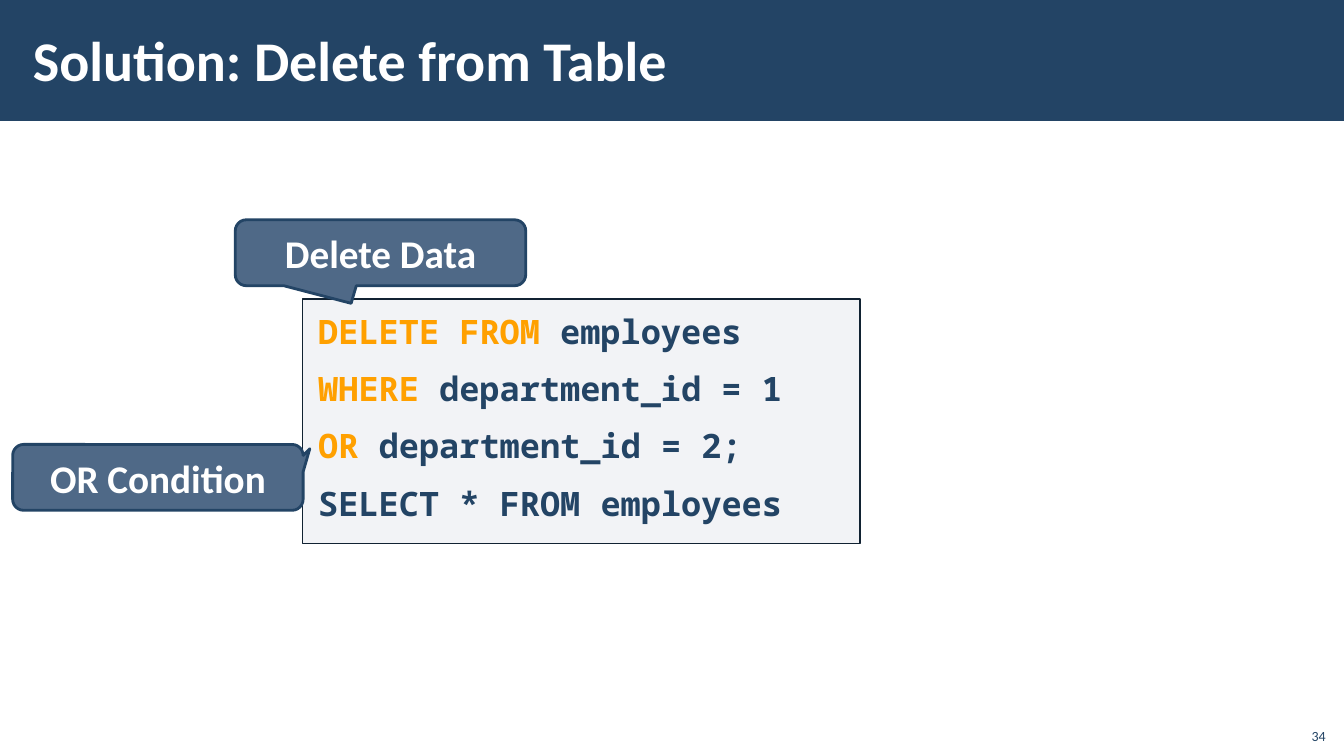
from lxml.etree import SubElement
from pptx import Presentation
from pptx.dml.color import RGBColor
from pptx.enum.shapes import MSO_SHAPE
from pptx.enum.text import MSO_ANCHOR, PP_ALIGN
from pptx.oxml.ns import qn
from pptx.util import Cm, Pt

HUES = {
    "navy": "234465",
    "slate": "4F6987",
    "edge": "112232",
    "mist": "ADB4C3",
    "amber": "FFA000",
    "white": "FFFFFF",
}


def hue(name):
    return RGBColor.from_string(HUES[name])


def add_run(para, text, size, color, bold=True, font="Calibri"):
    run = para.add_run()
    run.text = text
    run.font.size = Pt(size)
    run.font.bold = bold
    run.font.name = font
    run.font.color.rgb = hue(color)


deck = Presentation()
deck.slide_width, deck.slide_height = Cm(33.87), Cm(19.05)
slide = deck.slides.add_slide(deck.slide_layouts[6])
shapes = slide.shapes

# Title band
band = shapes.add_shape(MSO_SHAPE.RECTANGLE, 0, 0, deck.slide_width, Cm(3.05))
band.shadow.inherit = False
band.fill.solid()
band.fill.fore_color.rgb = hue("navy")
band.line.fill.background()

# Code panel
panel = shapes.add_shape(MSO_SHAPE.RECTANGLE, Cm(7.62), Cm(7.54), Cm(14.05), Cm(6.15))
panel.shadow.inherit = False
panel.fill.solid()
panel.fill.fore_color.rgb = hue("mist")
tint = panel.fill._xPr.find(qn("a:solidFill"))[0]
SubElement(tint, qn("a:alpha"), val="15000")
panel.line.color.rgb = hue("edge")
panel.line.width = Pt(1)
frame = panel.text_frame
frame.word_wrap = True
frame.vertical_anchor = MSO_ANCHOR.TOP
frame.margin_left = frame.margin_right = Cm(0.4)
frame.margin_top = frame.margin_bottom = Cm(0.3)

code = [
    ("DELETE FROM", " employees"),
    ("WHERE", " department_id = 1"),
    ("OR", " department_id = 2;"),
    ("", "SELECT * FROM employees"),
]
for i, (key, rest) in enumerate(code):
    para = frame.add_paragraph() if i else frame.paragraphs[0]
    para.alignment = PP_ALIGN.LEFT
    para.space_before = para.space_after = Pt(6)
    if key:
        add_run(para, key, 24, "amber", font="Noto Sans Mono")
    add_run(para, rest, 24, "navy", font="Noto Sans Mono")

# Title
title = shapes.add_textbox(Cm(0.53), Cm(0.28), Cm(26.97), Cm(2.44))
frame = title.text_frame
frame.word_wrap = True
frame.vertical_anchor = MSO_ANCHOR.MIDDLE
frame.margin_left = frame.margin_right = Cm(0.3)
frame.margin_top = frame.margin_bottom = Cm(0.1)
add_run(frame.paragraphs[0], "Solution: Delete from Table", 40, "white")

# Callouts: text, left, top, tip offset from the centre
notes = [
    ("OR Condition", 0.32, 11.2, 0.523, -0.434),
    ("Delete Data", 5.93, 5.54, -0.101, 0.768),
]
for text, left, top, tip_x, tip_y in notes:
    note = shapes.add_shape(
        MSO_SHAPE.ROUNDED_RECTANGULAR_CALLOUT, Cm(left), Cm(top), Cm(7.32), Cm(1.66)
    )
    note.adjustments[0] = tip_x
    note.adjustments[1] = tip_y
    note.shadow.inherit = False
    note.fill.solid()
    note.fill.fore_color.rgb = hue("slate")
    note.line.color.rgb = hue("navy")
    note.line.width = Pt(2)
    frame = note.text_frame
    frame.word_wrap = True
    frame.vertical_anchor = MSO_ANCHOR.MIDDLE
    para = frame.paragraphs[0]
    para.alignment = PP_ALIGN.CENTER
    add_run(para, text, 28, "white")

# Page number
page = shapes.add_textbox(Cm(32.64), Cm(18.08), Cm(1.02), Cm(0.81))
frame = page.text_frame
frame.word_wrap = True
frame.vertical_anchor = MSO_ANCHOR.BOTTOM
para = frame.paragraphs[0]
para.alignment = PP_ALIGN.RIGHT
add_run(para, "34", 10, "navy", bold=False)

deck.save("out.pptx")
